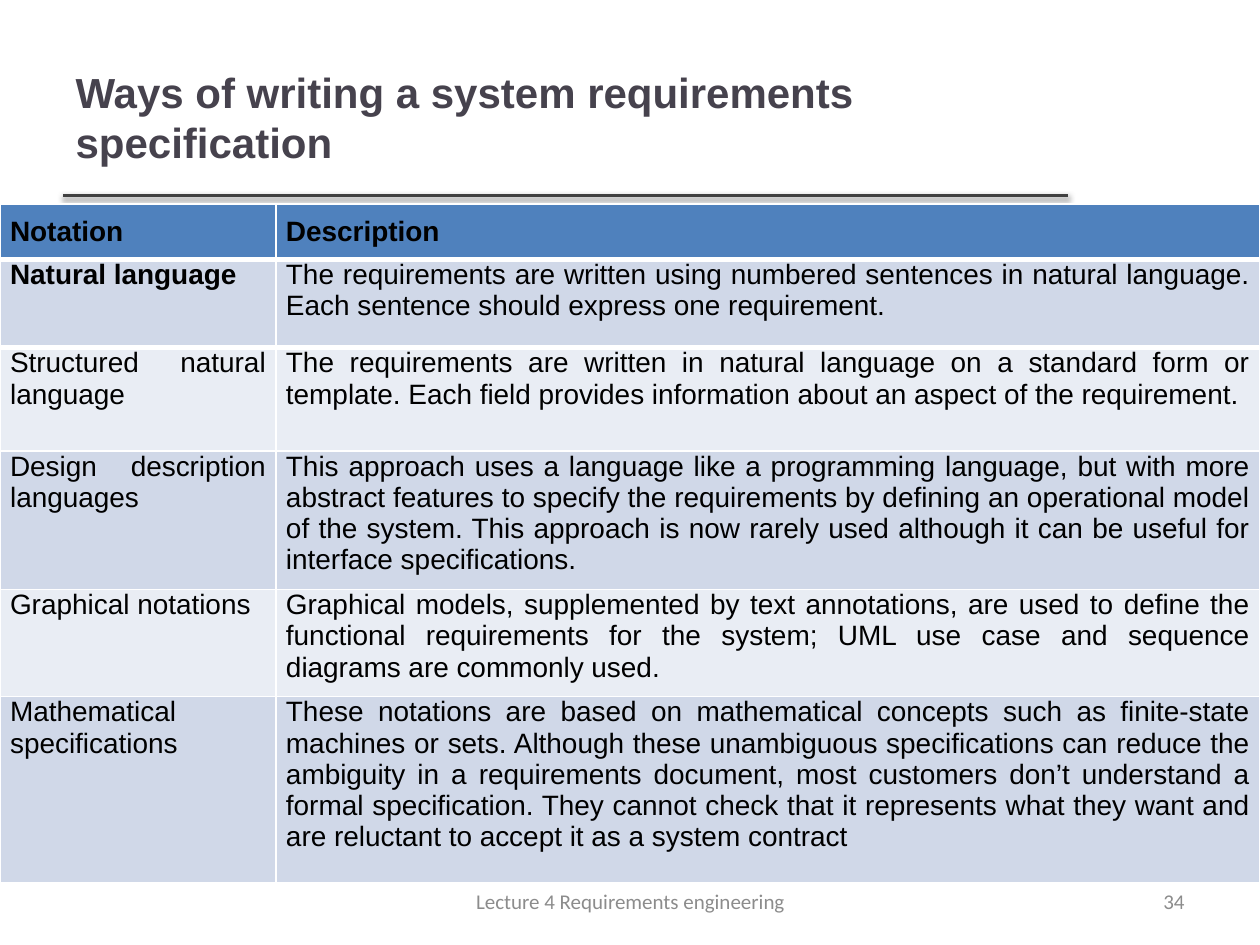
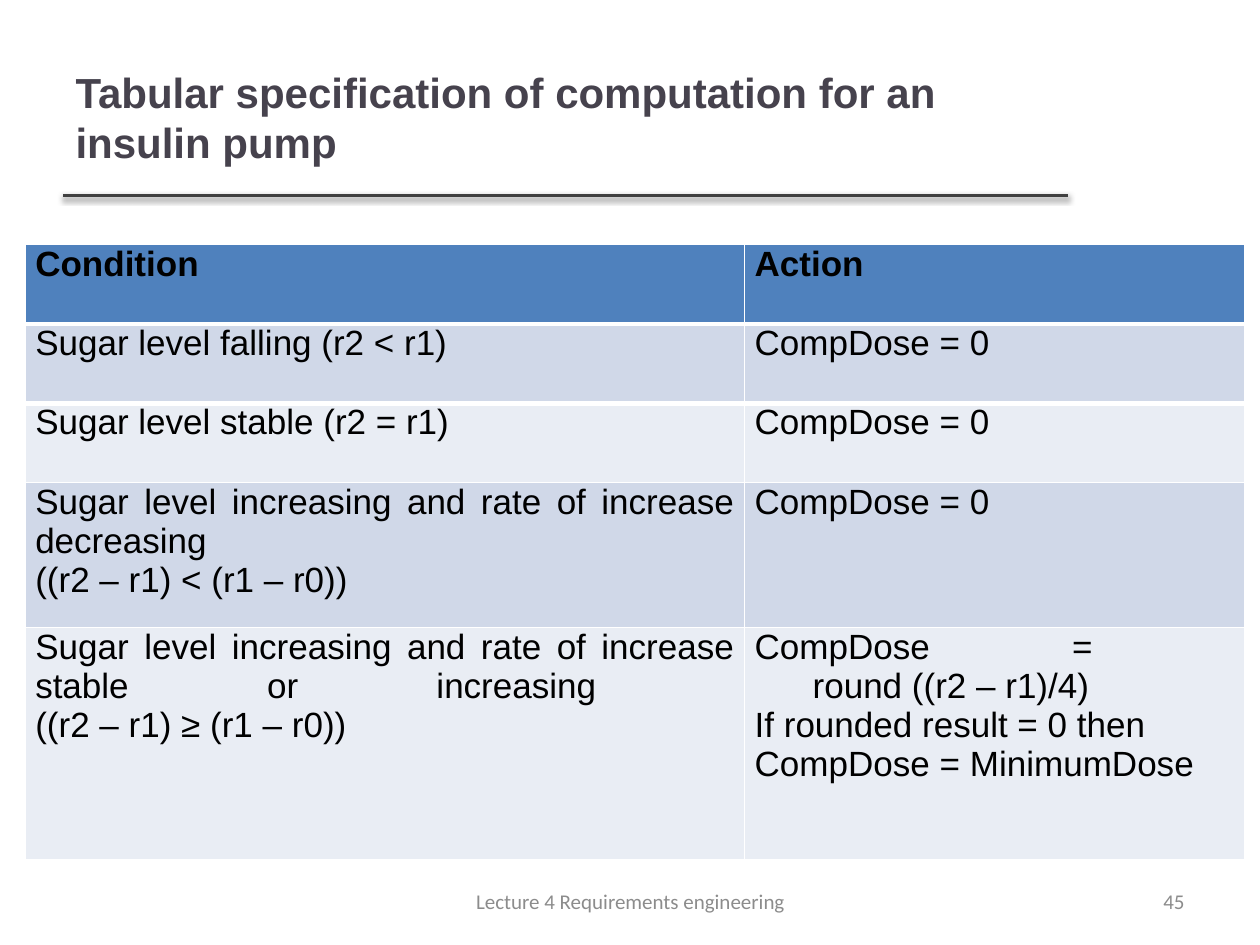
from lxml.etree import SubElement
from pptx import Presentation
from pptx.dml.color import RGBColor
from pptx.enum.shapes import MSO_CONNECTOR
from pptx.enum.text import MSO_ANCHOR, PP_ALIGN
from pptx.oxml.ns import qn
from pptx.util import Inches, Pt

# Shared colours and formats
RULE = RGBColor(0x40, 0x40, 0x40)
BLACK = RGBColor(0, 0, 0)
WHITE = RGBColor(0xFF, 0xFF, 0xFF)
HEADER_FILL = RGBColor(0x4F, 0x81, 0xBD)
BAND_FILLS = [RGBColor(0xD0, 0xD8, 0xE8), RGBColor(0xE9, 0xED, 0xF4)]
TITLE_FONT = {"name": "Arial", "size": Pt(24), "bold": True}
TITLE_COLOR = RGBColor(0x46, 0x42, 0x4D)
FOOTER_FONT = {"name": "Calibri", "size": Pt(12)}
FOOTER_COLOR = RGBColor(0x8C, 0x8C, 0x8C)
FOOTER = "Lecture 4 Requirements engineering"
CELL_MARGINS = {"margin_left": Inches(0.08), "margin_right": Inches(0.08),
                "margin_top": 0, "margin_bottom": 0}

# Shared boxes: left, top, width, height
TITLE_BOX = (0.5, 0.3, 7.98, 1.25)
FOOTER_BOX = (3.42, 6.95, 3.17, 0.4)
NUMBER_BOX = (7.17, 6.95, 2.33, 0.4)

NOTATIONS = [
    ("Notation", "Description"),
    ("Natural language",
     "The requirements are written using numbered sentences in natural language. "
     "Each sentence should express one requirement."),
    ("Structured natural language ",
     "The requirements are written in natural language on a standard form or template. "
     "Each field provides information about an aspect of the requirement."),
    ("Design description languages",
     "This approach uses a language like a programming language, but with more abstract "
     "features to specify the requirements by defining an operational model of the system. "
     "This approach is now rarely used although it can be useful for interface "
     "specifications."),
    ("Graphical notations",
     "Graphical models, supplemented by text annotations, are used to define the functional "
     "requirements for the system; UML use case and sequence diagrams are commonly used."),
    ("Mathematical specifications",
     "These notations are based on mathematical concepts such as finite-state machines or "
     "sets. Although these unambiguous specifications can reduce the ambiguity in a "
     "requirements document, most customers don’t understand a formal specification. They "
     "cannot check that it represents what they want and are reluctant to accept it as a "
     "system contract"),
]

# "\v" breaks a line inside a paragraph, "\n" starts a paragraph
DOSES = [
    ("Condition", "Action"),
    ("Sugar level falling (r2 < r1)", "CompDose = 0"),
    ("Sugar level stable (r2 = r1)", "CompDose = 0"),
    ("Sugar level increasing and rate of increase decreasing \v((r2 – r1) < (r1 – r0))",
     "CompDose = 0"),
    ("Sugar level increasing and rate of increase stable or increasing \v"
     "((r2 – r1) ≥ (r1 – r0))",
     "CompDose = \vround ((r2 – r1)/4)\nIf rounded result = 0 then \n"
     "CompDose = MinimumDose"),
]


def set_attrs(obj, values):
    for name, value in values.items():
        setattr(obj, name, value)


def style_text(tf, font, color, align):
    for p in tf.paragraphs:
        p.alignment = align
        set_attrs(p.font, font)
        p.font.color.rgb = color
        for r in p.runs:
            set_attrs(r.font, font)
            r.font.color.rgb = color


def place(box):
    return [Inches(v) for v in box]


def add_title(slide, text, box):
    sp = slide.shapes.title
    set_attrs(sp, dict(zip(("left", "top", "width", "height"), place(box))))
    tf = sp.text_frame
    tf.text = text
    set_attrs(tf, {"word_wrap": True, "vertical_anchor": MSO_ANCHOR.MIDDLE})
    style_text(tf, TITLE_FONT, TITLE_COLOR, PP_ALIGN.LEFT)

    # Rule along the bottom of the title box, with a soft shadow
    left, top, width, height = box
    y = Inches(top + height)
    line = slide.shapes.add_connector(
        MSO_CONNECTOR.STRAIGHT, Inches(left), y, Inches(left + width), y)
    line.line.color.rgb = RULE
    line.line.width = Pt(2)
    effects = SubElement(line._element.spPr, qn("a:effectLst"))
    shadow = SubElement(effects, qn("a:outerShdw"), blurRad=str(Pt(3.1)),
                        dist=str(Pt(1.6)), dir="5400000", rotWithShape="0")
    color = SubElement(shadow, qn("a:srgbClr"), val="000000")
    SubElement(color, qn("a:alpha"), val="38000")


def add_footer_text(slide, text, box, align):
    tf = slide.shapes.add_textbox(*place(box)).text_frame
    tf.text = text
    set_attrs(tf, {"word_wrap": True, "vertical_anchor": MSO_ANCHOR.MIDDLE})
    style_text(tf, FOOTER_FONT, FOOTER_COLOR, align)


def add_border(cell, side, width):
    tcPr = cell._tc.get_or_add_tcPr()
    border = SubElement(tcPr, qn(f"a:{side}"), w=str(Pt(width)))
    fill = SubElement(border, qn("a:solidFill"))
    SubElement(fill, qn("a:srgbClr"), val=str(WHITE))
    tcPr.insert(0, border)  # borders come before the cell fill


def add_text_table(slide, rows, left, top, widths, heights, size):
    frame = slide.shapes.add_table(
        len(rows), len(widths),
        *place((left, top, sum(widths), sum(heights))))
    table = frame.table
    for column, width in zip(table.columns, widths):
        column.width = Inches(width)
    for i, (row, texts, height) in enumerate(zip(table.rows, rows, heights)):
        row.height = Inches(height)
        for cell, text in zip(row.cells, texts):
            cell.text = text
            set_attrs(cell, CELL_MARGINS)
            cell.fill.solid()
            cell.fill.fore_color.rgb = BAND_FILLS[(i - 1) % 2] if i else HEADER_FILL
            font = {"name": "Arial", "size": Pt(size), "bold": i == 0}
            style_text(cell.text_frame, font, BLACK, PP_ALIGN.JUSTIFY)
    # Thick line under the header row
    for i, side in enumerate(("lnB", "lnT")):
        for cell in table.rows[i].cells:
            add_border(cell, side, 3)
    return table


def add_slide(prs, title, number):
    slide = prs.slides.add_slide(prs.slide_layouts[5])
    add_title(slide, title, TITLE_BOX)
    add_footer_text(slide, number, NUMBER_BOX, PP_ALIGN.RIGHT)
    add_footer_text(slide, FOOTER, FOOTER_BOX, PP_ALIGN.CENTER)
    return slide


def notation_slide(prs):
    slide = add_slide(prs, "Ways of writing a system requirements specification", "34")
    table = add_text_table(slide, NOTATIONS, 0, 1.62, [2.19, 7.81],
                           [0.44, 0.7, 0.82, 1.1, 0.85, 1.48], 16)
    for cell in table.rows[0].cells:
        cell.margin_top = Inches(0.1)
    natural_language = table.cell(1, 0).text_frame.paragraphs[0]
    natural_language.runs[0].font.bold = True


def insulin_slide(prs):
    slide = add_slide(prs, "Tabular specification of computation for an insulin pump", "45")
    table = add_text_table(slide, DOSES, 0.2, 1.94, [5.71, 3.97],
                           [0.63, 0.63, 0.63, 1.15, 1.84], 20)
    # Hanging indent sets the formula in from the line above it
    formula = table.cell(4, 1).text_frame.paragraphs[0]
    indent = Inches(0.46)
    pPr = formula._p.get_or_add_pPr()
    pPr.set("marL", str(indent))
    pPr.set("indent", str(-indent))


def main():
    prs = Presentation()
    set_attrs(prs, {"slide_width": Inches(10), "slide_height": Inches(7.5)})
    notation_slide(prs)
    insulin_slide(prs)
    prs.save("out.pptx")


if __name__ == "__main__":
    main()
